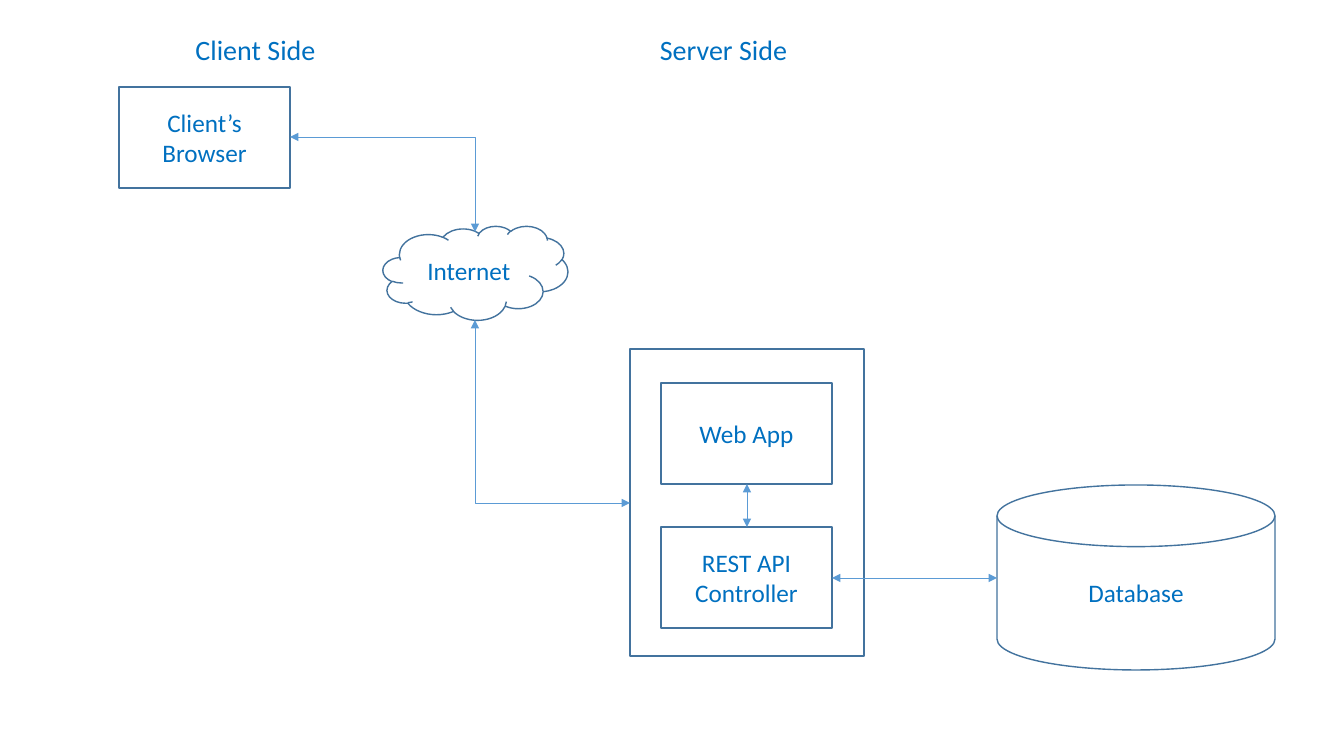
from lxml import etree
from pptx import Presentation
from pptx import util as u
from pptx.dml.color import RGBColor
from pptx.enum import shapes, text
from pptx.oxml import ns

SCALE = 914400 / 100.8
COLORS = {"text": "0070C0", "edge": "43739E", "arrow": "5B9BD5"}
KIND = shapes.MSO_SHAPE
LINK = shapes.MSO_CONNECTOR


def px(*sizes):
    """Turn pixels into EMU."""
    return [u.Emu(round(size * SCALE)) for size in sizes]


def rgb(name):
    """Look up a named colour."""
    return RGBColor.from_string(COLORS[name])


def write(shape, lines, size):
    """Write centred lines into a shape."""
    frame = shape.text_frame
    frame.word_wrap = True
    frame.vertical_anchor = text.MSO_ANCHOR.MIDDLE
    para = frame.paragraphs[0]
    para.alignment = text.PP_ALIGN.CENTER
    for index, line in enumerate(lines):
        if index:
            para.add_line_break()
        run = para.add_run()
        run.text = line
        run.font.name = "Calibri"
        run.font.size = u.Pt(size)
        run.font.color.rgb = rgb("text")


def node(slide, kind, box, *lines):
    """Add an outlined shape with an optional label."""
    shape = slide.shapes.add_shape(kind, *px(*box))
    shape.shadow.inherit = False
    shape.fill.background()
    shape.line.color.rgb = rgb("edge")
    shape.line.width = u.Pt(1)
    if lines:
        write(shape, lines, 18)


def head(slide, left, label):
    """Add a column heading."""
    box = slide.shapes.add_textbox(*px(left, 29, 219, 40))
    write(box, [label], 20)


def link(slide, start, end, bent=False):
    """Add a double arrow, bent once if asked, horizontal part first."""
    kind = LINK.ELBOW if bent else LINK.STRAIGHT
    line = slide.shapes.add_connector(kind, *px(*start, *end))
    line.line.color.rgb = rgb("arrow")
    line.line.width = u.Pt(0.5)
    props = line._element.spPr
    if bent:
        props.find(ns.qn("a:prstGeom")).set("prst", "bentConnector2")
    stroke = props.find(ns.qn("a:ln"))
    for tip in ("a:headEnd", "a:tailEnd"):
        etree.SubElement(stroke, ns.qn(tip), type="triangle")
    etree.SubElement(props, ns.qn("a:effectLst"))


def main():
    """Build the web architecture slide."""
    deck = Presentation()
    deck.slide_width, deck.slide_height = px(1344, 756)
    slide = deck.slides.add_slide(deck.slide_layouts[6])

    head(slide, 146, "Client Side")
    head(slide, 614, "Server Side")

    node(slide, KIND.RECTANGLE, (119, 87, 171, 101), "Client’s", "Browser")
    node(slide, KIND.CLOUD, (383, 226, 185, 94), "Internet")
    node(slide, KIND.RECTANGLE, (630, 349, 234, 307))
    node(slide, KIND.RECTANGLE, (661, 383, 171, 101), "Web App")
    node(slide, KIND.RECTANGLE, (661, 527, 171, 101), "REST API Controller")
    node(slide, KIND.FLOWCHART_MAGNETIC_DISK, (997, 485, 278, 185), "Database")

    link(slide, (290, 137), (475, 232), bent=True)
    link(slide, (630, 503), (475, 320), bent=True)
    link(slide, (747, 484), (747, 527))
    link(slide, (832, 578), (997, 578))

    deck.save("out.pptx")


main()
